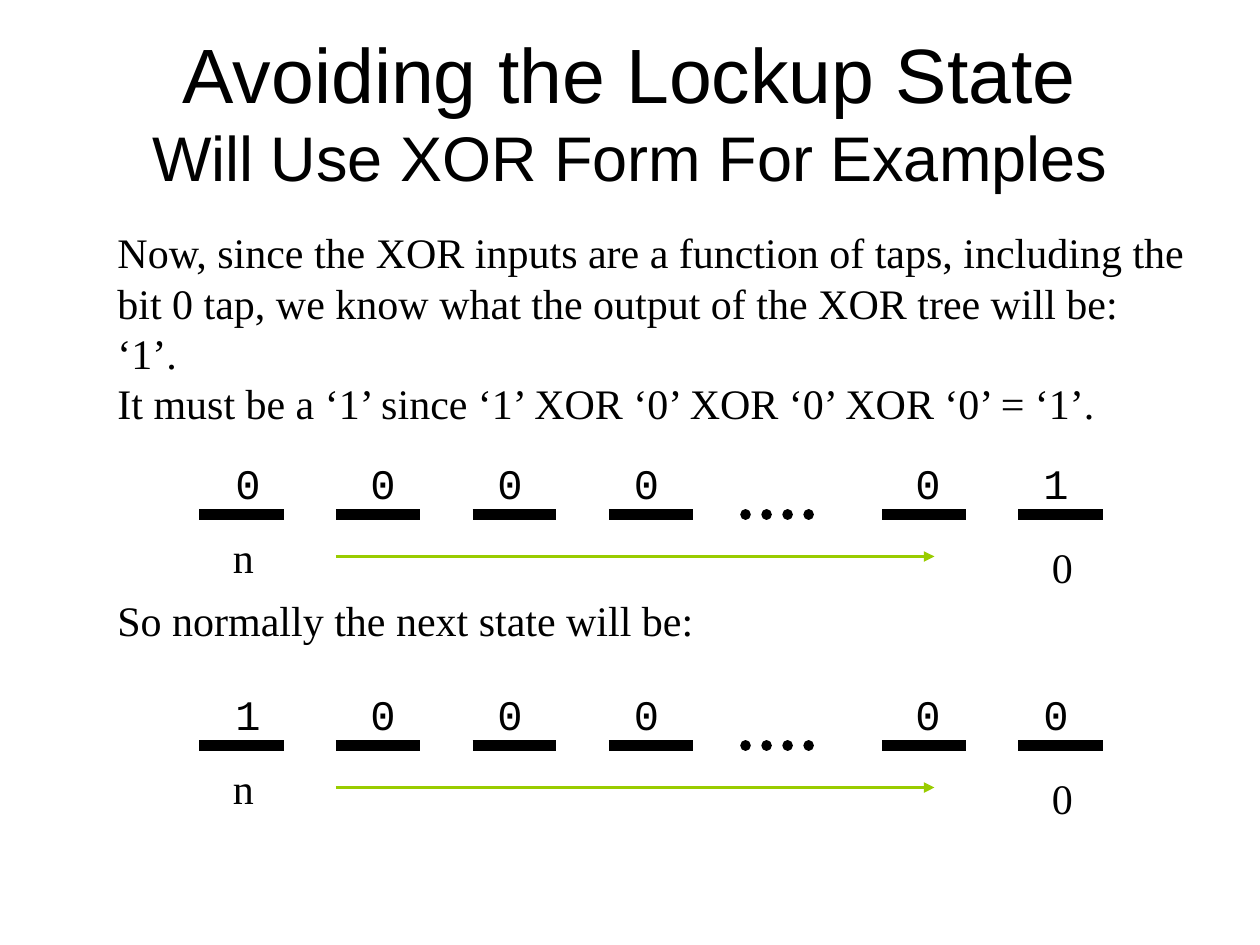
from dataclasses import dataclass

from pptx import Presentation
from pptx import util as u
from pptx.dml.color import RGBColor
from pptx.enum import dml, shapes, text
from pptx.oxml.ns import qn
from lxml import etree


@dataclass(frozen=True)
class Theme:
    ink: str = "000000"
    accent: str = "99CC00"
    heading_font: str = "Arial"
    body_font: str = "Times New Roman"
    bit_font: str = "Courier New"
    title_size: int = 44
    subtitle_size: int = 36
    body_size: int = 24
    cell_weight: float = 6
    arrow_weight: float = 2


class Page:
    """One slide on a grid of 120 columns by 90 rows."""

    def __init__(self, deck, theme):
        self.theme = theme
        self.slide = deck.slides.add_slide(deck.slide_layouts[6])
        self.column = deck.slide_width / 120
        self.row = deck.slide_height / 90

    def place(self, column, row):
        return round(column * self.column), round(row * self.row)

    def set_font(self, font, name, size):
        font.name = name
        font.size = u.Pt(size)
        font.color.rgb = RGBColor.from_string(self.theme.ink)

    def title(self, heading, subheading):
        theme = self.theme
        box = self.slide.shapes.add_textbox(*self.place(9, 3), *self.place(102, 15))
        frame = box.text_frame
        frame.word_wrap = True
        frame.vertical_anchor = text.MSO_ANCHOR.MIDDLE
        para = frame.paragraphs[0]
        para.alignment = text.PP_ALIGN.CENTER
        span = para.add_run()
        span.text = heading
        self.set_font(span.font, theme.heading_font, theme.title_size)
        para.add_line_break()
        span = para.add_run()
        span.text = subheading
        self.set_font(span.font, theme.heading_font, theme.subtitle_size)

    def label(self, words, column, row, width, height=6, font=None, wrap=False):
        box = self.slide.shapes.add_textbox(
            *self.place(column, row), *self.place(width, height))
        frame = box.text_frame
        frame.word_wrap = wrap
        frame.auto_size = text.MSO_AUTO_SIZE.SHAPE_TO_FIT_TEXT
        frame.text = words
        for para in frame.paragraphs:
            self.set_font(para.font, font or self.theme.body_font, self.theme.body_size)

    def line(self, column, row, length, color, weight, dotted=False, arrow=False):
        line = self.slide.shapes.add_connector(
            shapes.MSO_CONNECTOR.STRAIGHT,
            *self.place(column, row), *self.place(column + length, row))
        line.line.color.rgb = RGBColor.from_string(color)
        line.line.width = u.Pt(weight)
        properties = line._element.spPr
        outline = properties.find(qn("a:ln"))
        if dotted:
            line.line.dash_style = dml.MSO_LINE.ROUND_DOT
            outline.set("cap", "rnd")
        if arrow:
            etree.SubElement(outline, qn("a:tailEnd"), type="triangle")
        etree.SubElement(properties, qn("a:effectLst"))

    def register(self, bits, row):
        """Draw the cells of a shift register; None marks the left-out bits."""
        theme = self.theme
        # Cells
        for index, bit in enumerate(bits):
            self.line(19 + 13 * index, row, 8, theme.ink, theme.cell_weight,
                      dotted=bit is None)
        # Shift direction
        self.line(32, row + 4, 57, theme.accent, theme.arrow_weight, arrow=True)
        # Bit numbers
        self.label("0", 99, row + 2, 4.3)
        self.label("n", 21, row + 1, 4.3)
        # Bit values
        bit_columns = (21.25, 34.1, 46.2, 59.2, None, 86, 98.2)
        for bit, column in zip(bits, bit_columns):
            if bit is not None:
                self.label(bit, column, row - 6, 4.8, font=theme.bit_font)


def main():
    deck = Presentation()
    deck.slide_width, deck.slide_height = u.Inches(10), u.Inches(7.5)
    page = Page(deck, Theme())

    page.title("Avoiding the Lockup State", "Will Use XOR Form For Examples")

    # Current state
    page.label(
        "Now, since the XOR inputs are a function of taps, including the bit 0 tap, "
        "we know what the output of the XOR tree will be: ‘1’.\n"
        "It must be a ‘1’ since ‘1’ XOR ‘0’ XOR ‘0’ XOR ‘0’ = ‘1’.",
        10, 21, 104, 20.4, wrap=True)
    page.register(["0", "0", "0", "0", None, "0", "1"], 49)

    # Next state
    page.label("So normally the next state will be:", 10, 56, 104, wrap=True)
    page.register(["1", "0", "0", "0", None, "0", "0"], 71)

    deck.save("out.pptx")


if __name__ == "__main__":
    main()
